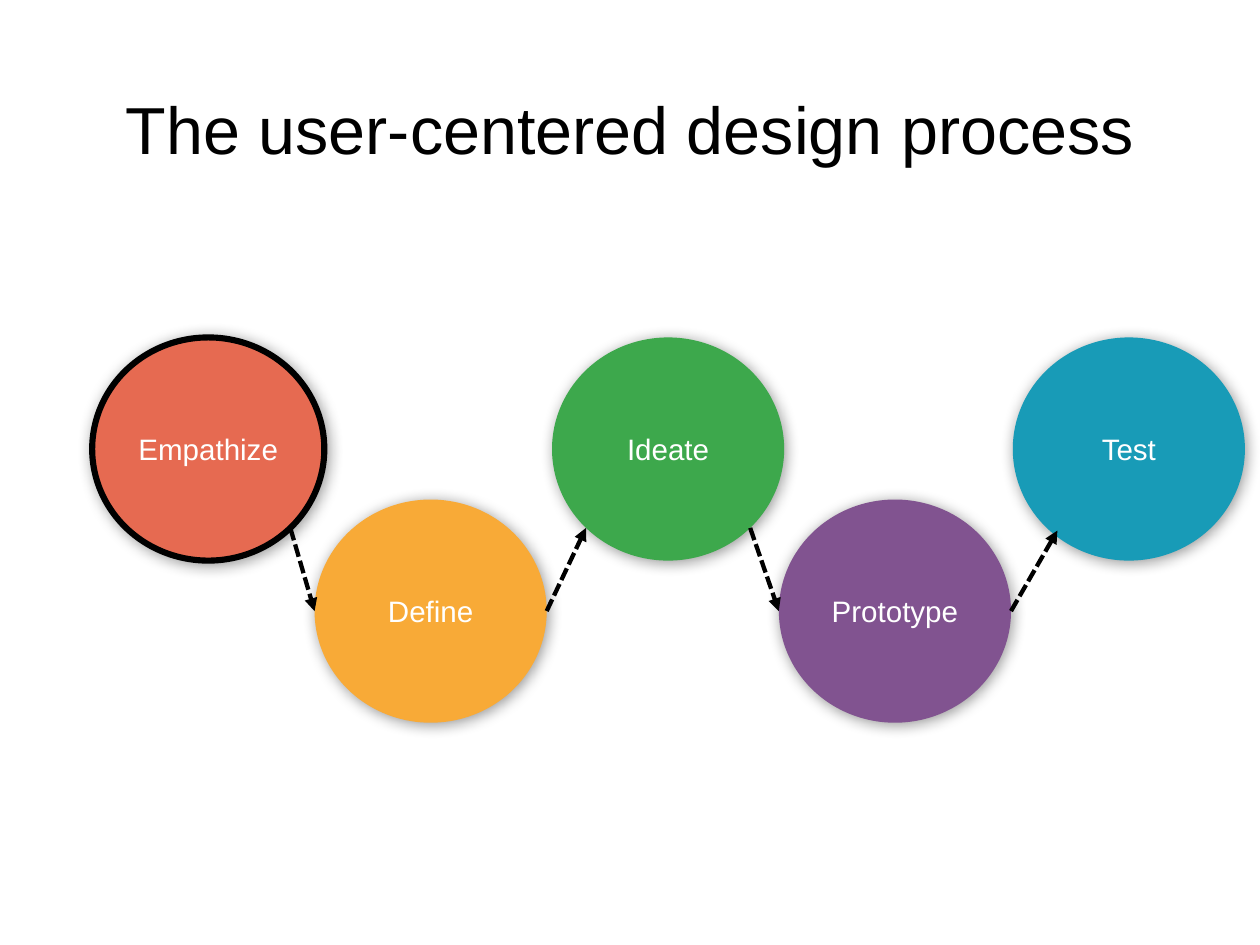
from math import cos, radians, sin

from lxml.etree import SubElement
from pptx import Presentation
from pptx.dml.color import RGBColor
from pptx.enum.dml import MSO_LINE
from pptx.enum.shapes import MSO_CONNECTOR, MSO_SHAPE
from pptx.enum.text import MSO_ANCHOR, PP_ALIGN
from pptx.oxml.ns import qn
from pptx.util import Inches, Pt

COLORS = {
    "black": "000000",
    "white": "FFFFFF",
    "red": "E66A51",
    "orange": "F8AA37",
    "green": "3DA84C",
    "purple": "815390",
    "teal": "189BB7",
}

# Grid of one-inch columns and rows
COLUMNS, ROWS = 14.22, 10.67
CIRCLE_WIDTH, CIRCLE_HEIGHT = 2.62, 2.52
UPPER_ROW, LOWER_ROW = 3.81, 5.64

# Label, left column, color, outline width
STEPS = [
    ("Empathize", 1.04, "red", 5),
    ("Define", 3.55, "orange", 0),
    ("Ideate", 6.23, "green", 0),
    ("Prototype", 8.79, "purple", 0),
    ("Test", 11.43, "teal", 0),
]

# Angles on a circle, clockwise from its right side
RIGHT, LOWER_RIGHT, LOWER_LEFT, LEFT = 0, 45, 135, 180

# From step, angle, to step, angle, shift of the arrow's end
ARROWS = [
    (0, LOWER_RIGHT, 1, LEFT, (0, 0)),
    (2, LOWER_RIGHT, 3, LEFT, (0, 0)),
    (1, RIGHT, 2, LOWER_LEFT, (0, 0)),
    (3, RIGHT, 4, LOWER_LEFT, (0.12, 0.03)),
]


def color(name):
    return RGBColor.from_string(COLORS[name])


def circle_row(index):
    return LOWER_ROW if index % 2 else UPPER_ROW


def rim_point(index, angle):
    """Column and row of a point on the rim of a step's circle."""
    column = STEPS[index][1] + CIRCLE_WIDTH / 2 * (1 + cos(radians(angle)))
    row = circle_row(index) + CIRCLE_HEIGHT / 2 * (1 + sin(radians(angle)))
    return column, row


class ProcessSlide:
    font_format = {"name": "Arial", "bold": False}
    frame_format = {"word_wrap": True, "vertical_anchor": MSO_ANCHOR.MIDDLE}
    line_format = {"width": Pt(3.5), "dash_style": MSO_LINE.SQUARE_DOT}

    def __init__(self, presentation):
        self.slide = presentation.slides.add_slide(presentation.slide_layouts[6])

    def apply(self, target, values):
        for name, value in values.items():
            setattr(target, name, value)

    def label(self, shape, text, size, color_name, margins):
        frame = shape.text_frame
        self.apply(frame, self.frame_format | margins)
        paragraph = frame.paragraphs[0]
        paragraph.alignment = PP_ALIGN.CENTER
        run = paragraph.add_run()
        run.text = text
        self.apply(run.font, self.font_format | {"size": Pt(size)})
        run.font.color.rgb = color(color_name)

    def title(self, text, row, height):
        shape = self.slide.shapes.add_textbox(0, Inches(row), Inches(COLUMNS), Inches(height))
        sides = ("margin_left", "margin_right", "margin_top", "margin_bottom")
        self.label(shape, text, 54, "black", dict.fromkeys(sides, Inches(0.06)))

    def circle(self, text, column, row, fill_name, outline):
        shape = self.slide.shapes.add_shape(
            MSO_SHAPE.OVAL, Inches(column), Inches(row),
            Inches(CIRCLE_WIDTH), Inches(CIRCLE_HEIGHT))
        shape.fill.solid()
        shape.fill.fore_color.rgb = color(fill_name)
        if outline:
            shape.line.color.rgb = color("black")
            shape.line.width = Pt(outline)
        else:
            shape.line.fill.background()
        self.shadow(shape)
        self.label(shape, text, 24, "white", {"margin_left": 0, "margin_right": 0})

    def shadow(self, shape):
        shape.shadow.inherit = False
        effects = shape._element.spPr.find(qn("a:effectLst"))
        outer = SubElement(effects, qn("a:outerShdw"), blurRad=str(Pt(12)),
                           dist=str(Pt(2)), dir="2700000", rotWithShape="0")
        shade = SubElement(outer, qn("a:srgbClr"), val=COLORS["black"])
        SubElement(shade, qn("a:alpha"), val="40000")

    def arrow(self, start, end):
        connector = self.slide.shapes.add_connector(
            MSO_CONNECTOR.STRAIGHT, *(Inches(value) for value in (*start, *end)))
        connector.line.color.rgb = color("black")
        self.apply(connector.line, self.line_format)
        properties = connector._element.spPr
        SubElement(properties.find(qn("a:ln")), qn("a:tailEnd"), type="triangle")
        SubElement(properties, qn("a:effectLst"))


def main():
    presentation = Presentation()
    presentation.slide_width = Inches(COLUMNS)
    presentation.slide_height = Inches(ROWS)
    process = ProcessSlide(presentation)

    # Steps, alternating between the two rows
    for index, (label, column, fill_name, outline) in enumerate(STEPS):
        process.circle(label, column, circle_row(index), fill_name, outline)

    # Dashed arrows between neighbouring steps
    for source, source_angle, target, target_angle, (right, down) in ARROWS:
        column, row = rim_point(target, target_angle)
        process.arrow(rim_point(source, source_angle), (column + right, row + down))

    # Title
    process.title("The user-centered design process", 0.27, 2.36)

    presentation.save("out.pptx")


if __name__ == "__main__":
    main()
